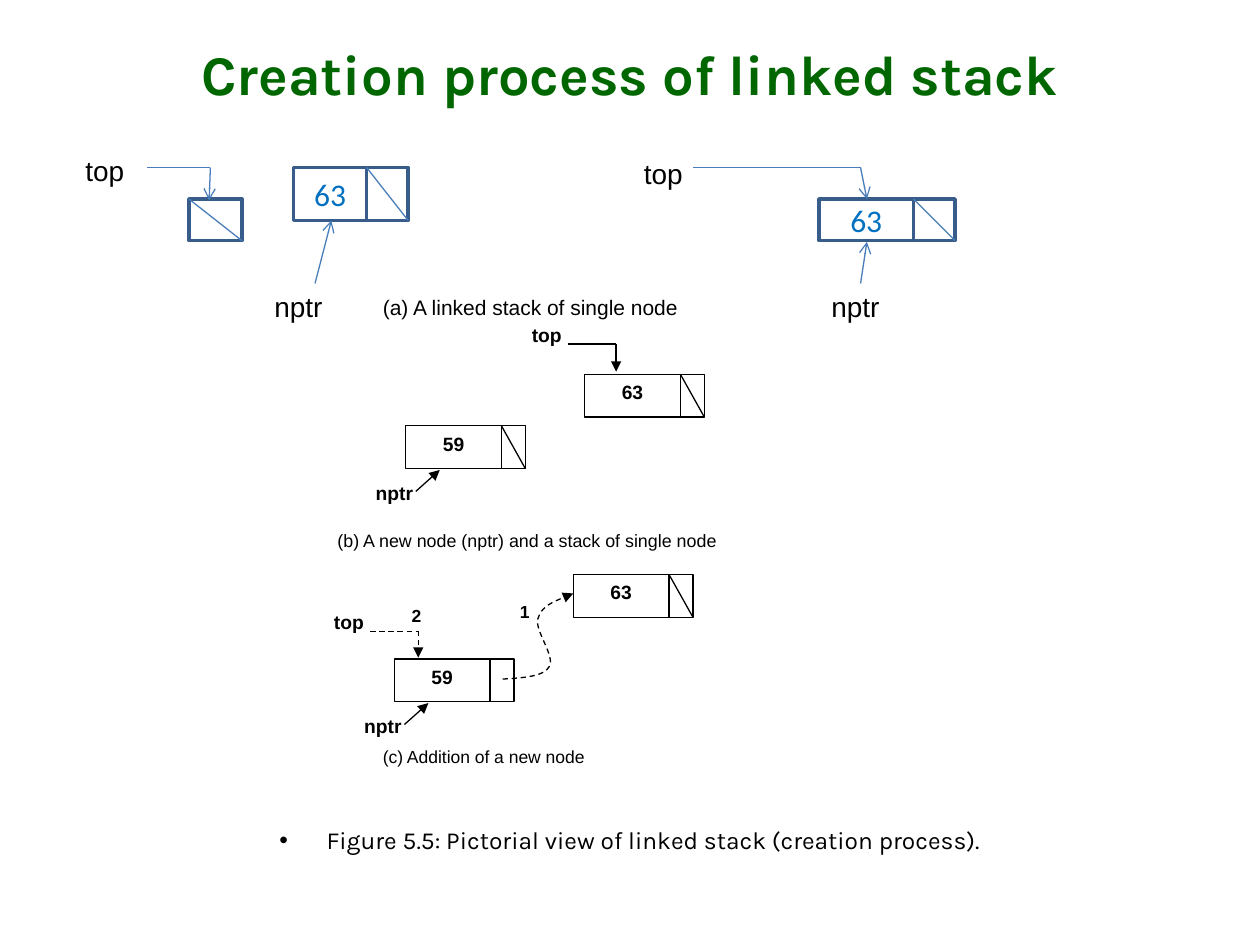
from lxml.etree import SubElement
from pptx import Presentation
from pptx.dml.color import RGBColor
from pptx.enum.dml import MSO_LINE
from pptx.enum.shapes import MSO_CONNECTOR, MSO_SHAPE
from pptx.enum.text import MSO_ANCHOR as Anchor, PP_ALIGN as Align
from pptx.oxml.ns import qn
from pptx.util import Inches, Pt


def color(code):
    return RGBColor.from_string(code)


def assign(target, values):
    for name, value in values.items():
        setattr(target, name, value)


class StackFigure:
    black = {"edge": "000000", "line": "000000", "width": 0.75, "fill": "FFFFFF",
             "anchor": Anchor.TOP, "font": {"name": "Arial", "size": Pt(11), "bold": True},
             "text": "000000", "arrow": "triangle"}
    blue = {"edge": "385D8A", "line": "4A7EBB", "width": 2, "fill": None,
            "anchor": Anchor.MIDDLE, "font": {"name": "Calibri", "size": Pt(18), "bold": False},
            "text": "0070C0", "arrow": "arrow"}

    def __init__(self, page):
        self.page = page
        self.shapes = page.shapes

    def put_text(self, frame, text, font, ink="000000", align=Align.CENTER, **spacing):
        frame.text = text
        para = frame.paragraphs[0]
        assign(para, {"alignment": align, "space_before": Pt(0), **spacing})
        span = para.runs[0]
        assign(span.font, font)
        span.font.color.rgb = color(ink)

    def placeholder(self, index, area, text, font, ink, anchor):
        box = self.page.placeholders[index]
        assign(box, dict(zip(("left", "top", "width", "height"), map(Inches, area))))
        assign(box.text_frame, {"word_wrap": True, "vertical_anchor": anchor})
        properties = box.text_frame.paragraphs[0]._p.get_or_add_pPr()
        for name in ("marL", "indent"):
            properties.set(name, "0")
        SubElement(properties, qn("a:buNone"))
        self.put_text(box.text_frame, text, font, ink)

    def label(self, text, area, size, bold=False, align=Align.LEFT, inset=0.1, **spacing):
        box = self.shapes.add_textbox(*map(Inches, area))
        right = 0 if align == Align.LEFT else inset
        assign(box.text_frame, {"word_wrap": True, "margin_left": Inches(inset),
                                "margin_right": Inches(right)})
        font = {"name": "Arial", "size": Pt(size), "bold": bold}
        self.put_text(box.text_frame, text, font, align=align, **spacing)

    def mark(self, text, left, top, size=11, width=0.76, height=0.38):
        self.label(text, (left, top, width, height), size, True, Align.CENTER)

    def cell(self, area, style, text=""):
        box = self.shapes.add_shape(MSO_SHAPE.RECTANGLE, *map(Inches, area))
        box.shadow.inherit = False
        if style["fill"]:
            box.fill.solid()
            box.fill.fore_color.rgb = color(style["fill"])
        else:
            box.fill.background()
        box.line.color.rgb = color(style["edge"])
        box.line.width = Pt(style["width"])
        if text:
            assign(box.text_frame, {"vertical_anchor": style["anchor"], "word_wrap": True})
            self.put_text(box.text_frame, text, style["font"], style["text"])

    def null_link(self, left, top, width, height, style):
        self.cell((left, top, width, height), style)
        self.line((left, top), (left + width, top + height), style)

    def node(self, value, left, top, style, widths=(0.76, 0.19), height=0.34, null=True):
        value_width, link_width = widths
        self.cell((left, top, value_width, height), style, value)
        link = (left + value_width, top, link_width, height)
        if null:
            self.null_link(*link, style)
        else:
            self.cell(link, style)

    def stroke(self, shape, style, arrow, dashed):
        shape.line.color.rgb = color(style["line"])
        shape.line.width = Pt(0.75)
        if dashed:
            shape.line.dash_style = MSO_LINE.DASH
        if arrow:
            outline = shape._element.spPr.get_or_add_ln()
            SubElement(outline, qn("a:tailEnd"), type=style["arrow"])

    def line(self, start, end, style, arrow=False, dashed=False):
        link = self.shapes.add_connector(MSO_CONNECTOR.STRAIGHT, *map(Inches, start + end))
        self.stroke(link, style, arrow, dashed)
        SubElement(link._element.spPr, qn("a:effectLst"))

    def pointer(self, start, corner, end, style, dashed=False):
        self.line(start, corner, style, dashed=dashed)
        self.line(corner, end, style, arrow=True, dashed=dashed)

    def curve(self, start, points, style):
        builder = self.shapes.build_freeform(*map(Inches, start))
        builder.add_line_segments([tuple(map(Inches, point)) for point in points], close=False)
        shape = builder.convert_to_shape()
        shape.shadow.inherit = False
        shape.fill.background()
        outline = shape._element.find(".//" + qn("a:path"))
        steps = outline.findall(qn("a:lnTo"))
        for first in range(0, len(steps), 3):
            bend = SubElement(outline, qn("a:cubicBezTo"))
            for step in steps[first:first + 3]:
                bend.append(step[0])
                outline.remove(step)
        self.stroke(shape, style, True, True)


def main():
    deck = Presentation()
    deck.slide_width, deck.slide_height = Inches(10), Inches(7.5)
    figure = StackFigure(deck.slides.add_slide(deck.slide_layouts[1]))
    black, blue = figure.black, figure.blue

    figure.placeholder(0, (0.5, 0.08, 9, 1), "Creation process of linked stack",
                       {"name": "Karla", "size": Pt(32), "bold": True}, "006600", Anchor.MIDDLE)
    figure.placeholder(1, (0.5, 1.33, 9, 5.5),
                       "Figure 5.5: Pictorial view of linked stack (creation process).",
                       {"name": "Karla", "size": Pt(14)}, "000000", Anchor.BOTTOM)

    figure.label("(a) A linked stack of single node", (2.94, 2.29, 3.03, 0.38), 12)
    figure.label("(b) A new node (nptr) and a stack of single node",
                 (2.58, 4.17, 4.9, 0.28), 10.2, line_spacing=0.9)
    figure.label("(c) Addition of a new node", (2.94, 5.87, 4.54, 0.38), 10)

    figure.label("top", (0.58, 1.17, 0.58, 0.37), 16)
    figure.label("nptr", (2.08, 2.25, 0.67, 0.37), 16)
    figure.null_link(1.5, 1.58, 0.42, 0.33, blue)
    figure.pointer((1.17, 1.33), (1.67, 1.33), (1.66, 1.59), blue)
    figure.node("63", 2.33, 1.33, blue, (0.58, 0.33), 0.42)
    figure.line((2.5, 2.25), (2.63, 1.75), blue, arrow=True)

    figure.label("top", (4.67, 1.19, 1.08, 0.4), 16, inset=0.44)
    figure.label("nptr", (6.5, 2.25, 0.92, 0.37), 16)
    figure.node("63", 6.5, 1.58, blue, (0.75, 0.33), 0.33)
    figure.pointer((5.5, 1.33), (6.83, 1.33), (6.88, 1.58), blue)
    figure.line((6.83, 2.25), (6.88, 1.92), blue, arrow=True)

    figure.mark("top", 3.96, 2.52)
    figure.node("63", 4.64, 2.97, black)
    figure.pointer((4.51, 2.73), (4.89, 2.73), (4.89, 2.95), black)
    figure.node("59", 3.22, 3.38, black)

    figure.mark("top", 2.39, 4.79)
    figure.node("63", 4.55, 4.56, black)
    figure.pointer((2.94, 5.01), (3.32, 5.01), (3.32, 5.22), black, dashed=True)
    figure.node("59", 3.13, 5.23, black, null=False)
    figure.curve((3.99, 5.39), [(4.15, 5.38), (4.32, 5.37), (4.36, 5.29),
                                (4.41, 5.21), (4.24, 5), (4.27, 4.91),
                                (4.3, 4.81), (4.43, 4.76), (4.55, 4.71)], black)
    figure.mark("1", 3.88, 4.72, 10, 0.57, 0.34)
    figure.mark("2", 3.02, 4.75, 10, 0.57, 0.34)

    for left, top in ((2.75, 3.77), (2.66, 5.62)):
        figure.mark("nptr", left, top)
        figure.line((left + 0.55, top + 0.13), (left + 0.74, top - 0.04), black, arrow=True)

    deck.save("out.pptx")


if __name__ == "__main__":
    main()
